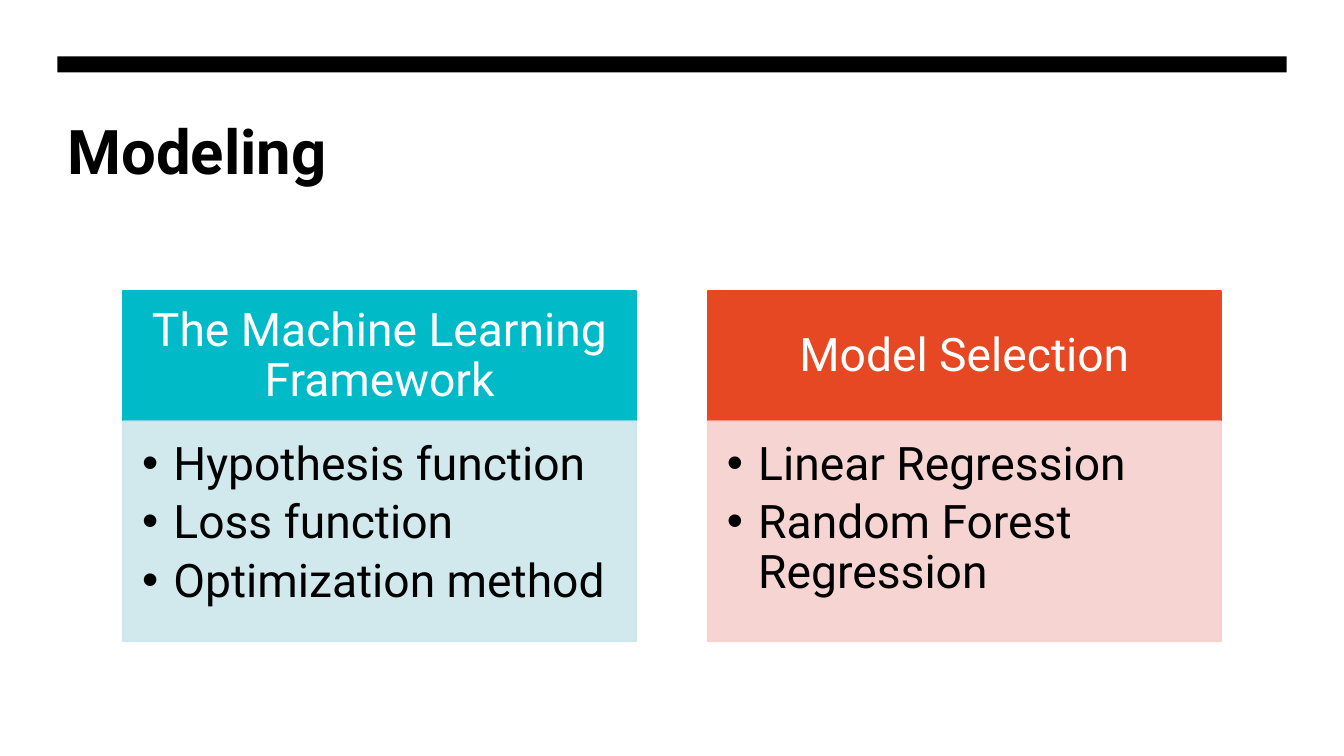
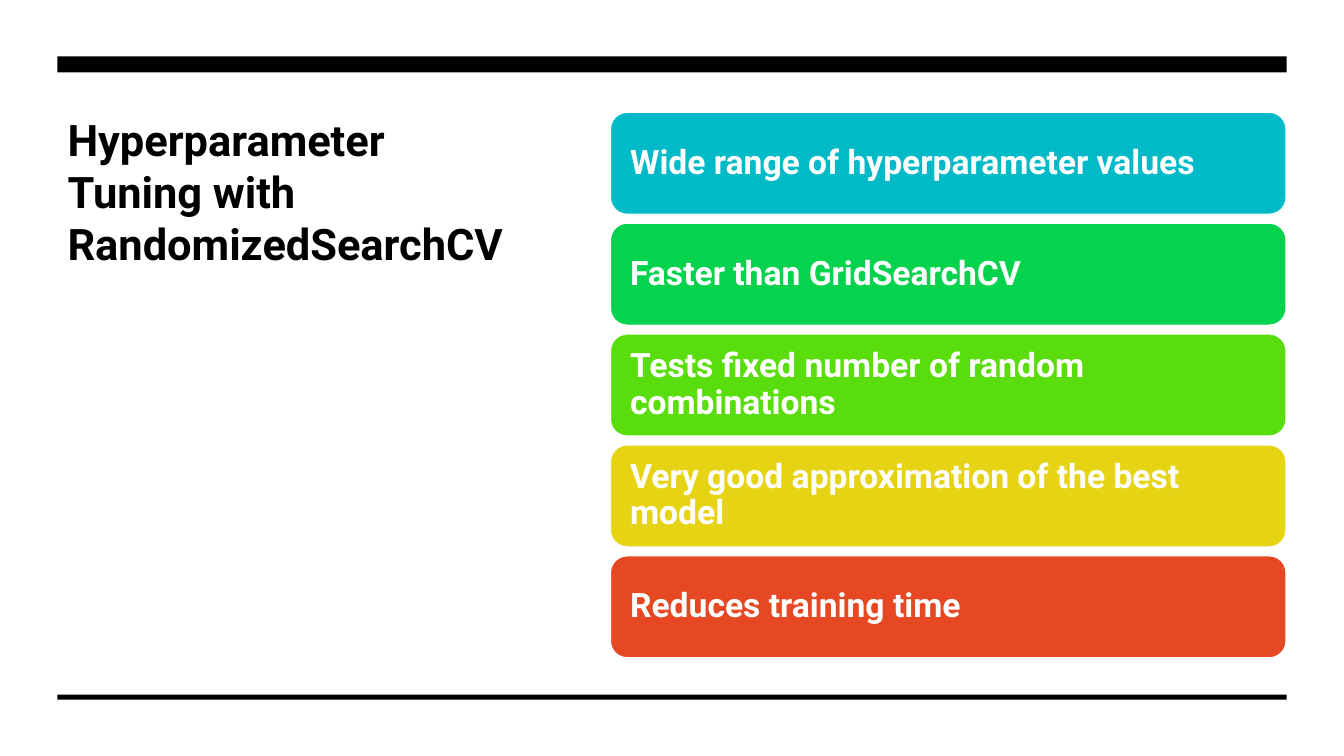
from dataclasses import dataclass

from lxml import etree
from pptx import Presentation
from pptx.dml.color import RGBColor
from pptx.enum.shapes import MSO_SHAPE
from pptx.enum.text import MSO_ANCHOR, MSO_AUTO_SIZE, PP_ALIGN
from pptx.oxml.ns import qn
from pptx.shapes.base import BaseShape
from pptx.slide import Slide
from pptx.text.text import TextFrame
from pptx.util import Inches, Pt

RECTANGLE, ROUNDED = MSO_SHAPE.RECTANGLE, MSO_SHAPE.ROUNDED_RECTANGLE
TOP, MIDDLE = MSO_ANCHOR.TOP, MSO_ANCHOR.MIDDLE
LEFT, CENTER = PP_ALIGN.LEFT, PP_ALIGN.CENTER
NO_AUTOFIT = MSO_AUTO_SIZE.NONE

BLACK = RGBColor(0x00, 0x00, 0x00)
WHITE = RGBColor(0xFF, 0xFF, 0xFF)
TEAL = RGBColor(0x00, 0xBA, 0xC8)
GREEN = RGBColor(0x06, 0xD3, 0x4D)
LIME = RGBColor(0x59, 0xDD, 0x0C)
YELLOW = RGBColor(0xE6, 0xD3, 0x13)
ORANGE = RGBColor(0xE6, 0x48, 0x23)
PALE_TEAL = RGBColor(0xCC, 0xE7, 0xEB)
PALE_ORANGE = RGBColor(0xF5, 0xD0, 0xCD)

# Shared measures, in inches
FONT = "Roboto"
SLIDE_WIDTH, SLIDE_HEIGHT = 13.33, 7.5
MARGIN = 0.57
CONTENT_WIDTH = SLIDE_WIDTH - 2 * MARGIN
TITLE_TOP = 1.07
TITLE_LAYOUT, COMPARISON_LAYOUT = 5, 4

# Grid of topic columns
COLUMN_LEFT, COLUMN_WIDTH, COLUMN_STEP = 1.22, 5.09, 5.8
HEADER_TOP, HEADER_HEIGHT, LIST_HEIGHT = 2.89, 1.29, 2.18
LIST_INDENT = 0.31

# Stack of cards
CARD_LEFT, CARD_TOP, CARD_HEIGHT, CARD_STEP = 6.05, 1.11, 1.02, 1.1
CARD_WIDTH = SLIDE_WIDTH - MARGIN - CARD_LEFT


@dataclass(frozen=True)
class Topic:
    header: str
    items: tuple[str, ...]
    color: RGBColor
    pale_color: RGBColor


@dataclass(frozen=True)
class Card:
    text: str
    color: RGBColor


@dataclass(frozen=True)
class TextStyle:
    size: float
    color: RGBColor
    bold: bool = False
    align: PP_ALIGN = LEFT
    anchor: MSO_ANCHOR = TOP
    insets: tuple[float, float, float, float] = (0.1, 0.05, 0.1, 0.05)
    line_spacing: float = 0.9
    space_after: float = 0
    bullet: bool = False


HEADER_STYLE = TextStyle(33, WHITE, align=CENTER, anchor=MIDDLE,
                         insets=(0.26, 0.15, 0.26, 0.15))
LIST_STYLE = TextStyle(33, BLACK, insets=(0.19, 0.19, 0.26, 0.29),
                       space_after=6, bullet=True)
CARD_STYLE = TextStyle(24, WHITE, bold=True, anchor=MIDDLE,
                       insets=(0.15, 0.15, 0.15, 0.15))

TOPICS = (
    Topic("The Machine Learning Framework",
          ("Hypothesis function", "Loss function", "Optimization method"),
          TEAL, PALE_TEAL),
    Topic("Model Selection",
          ("Linear Regression", "Random Forest Regression"),
          ORANGE, PALE_ORANGE),
)
CARDS = (
    Card("Wide range of hyperparameter values", TEAL),
    Card("Faster than GridSearchCV", GREEN),
    Card("Tests fixed number of random combinations", LIME),
    Card("Very good approximation of the best model", YELLOW),
    Card("Reduces training time", ORANGE),
)


def place(shape: BaseShape, left: float, top: float, width: float, height: float) -> None:
    shape.left, shape.top = Inches(left), Inches(top)
    shape.width, shape.height = Inches(width), Inches(height)


def paint(shape: BaseShape, fill: RGBColor, line: RGBColor, opacity: int = 100) -> None:
    shape.fill.solid()
    shape.fill.fore_color.rgb = fill
    shape.line.color.rgb = line
    shape.line.width = Pt(1.5)
    if opacity < 100:
        for color in shape._element.spPr.iter(qn("a:srgbClr")):
            etree.SubElement(color, qn("a:alpha"), val=str(opacity * 1000))


def write(frame: TextFrame, text: str, style: TextStyle) -> None:
    """Fill a frame, one paragraph per line of text."""
    frame.text = text
    frame.word_wrap = True
    frame.auto_size = NO_AUTOFIT
    frame.vertical_anchor = style.anchor
    (frame.margin_left, frame.margin_top,
     frame.margin_right, frame.margin_bottom) = map(Inches, style.insets)
    for paragraph in frame.paragraphs:
        if style.bullet:
            properties = paragraph._p.get_or_add_pPr()
            properties.set("marL", str(Inches(LIST_INDENT)))
            properties.set("indent", str(-Inches(LIST_INDENT)))
            etree.SubElement(properties, qn("a:buChar"), char="•")
        paragraph.alignment = style.align
        paragraph.line_spacing = style.line_spacing
        paragraph.space_before = Pt(0)
        paragraph.space_after = Pt(style.space_after)
        for run in paragraph.runs:
            run.font.name = FONT
            run.font.size = Pt(style.size)
            run.font.bold = style.bold
            run.font.color.rgb = style.color


def add_bar(slide: Slide, top: float, height: float) -> None:
    bar = slide.shapes.add_shape(RECTANGLE, Inches(MARGIN), Inches(top),
                                 Inches(CONTENT_WIDTH), Inches(height))
    bar.shadow.inherit = False
    bar.fill.solid()
    bar.fill.fore_color.rgb = BLACK
    bar.line.fill.background()


def add_titled_slide(presentation: Presentation, layout: int, title: str,
                     size: float, width: float, height: float) -> Slide:
    slide = presentation.slides.add_slide(presentation.slide_layouts[layout])
    place(slide.shapes.title, MARGIN, TITLE_TOP, width, height)
    write(slide.shapes.title.text_frame, title,
          TextStyle(size, BLACK, bold=True, line_spacing=1.0))
    add_bar(slide, top=0.56, height=0.16)
    return slide


def fill_topic(slide: Slide, column: int, topic: Topic) -> None:
    """Use the header and list placeholders of one comparison column."""
    left = COLUMN_LEFT + column * COLUMN_STEP
    header = slide.placeholders[1 + 2 * column]
    place(header, left, HEADER_TOP, COLUMN_WIDTH, HEADER_HEIGHT)
    paint(header, topic.color, topic.color)
    write(header.text_frame, topic.header, HEADER_STYLE)

    items = slide.placeholders[2 + 2 * column]
    place(items, left, HEADER_TOP + HEADER_HEIGHT, COLUMN_WIDTH, LIST_HEIGHT)
    paint(items, topic.pale_color, topic.pale_color, opacity=90)
    write(items.text_frame, "\n".join(topic.items), LIST_STYLE)


def add_card(slide: Slide, row: int, card: Card) -> None:
    shape = slide.shapes.add_shape(
        ROUNDED, Inches(CARD_LEFT), Inches(CARD_TOP + row * CARD_STEP),
        Inches(CARD_WIDTH), Inches(CARD_HEIGHT))
    shape.shadow.inherit = False
    paint(shape, card.color, WHITE)
    write(shape.text_frame, card.text, CARD_STYLE)


def main() -> None:
    presentation = Presentation()
    presentation.slide_width = Inches(SLIDE_WIDTH)
    presentation.slide_height = Inches(SLIDE_HEIGHT)

    # Modeling topics
    modeling = add_titled_slide(presentation, COMPARISON_LAYOUT, "Modeling",
                                size=44, width=CONTENT_WIDTH, height=1.6)
    for column, topic in enumerate(TOPICS):
        fill_topic(modeling, column, topic)

    # Hyperparameter tuning
    tuning = add_titled_slide(presentation, TITLE_LAYOUT,
                              "Hyperparameter Tuning with RandomizedSearchCV",
                              size=31, width=4.69, height=3.68)
    add_bar(tuning, top=6.89, height=0.05)
    for row, card in enumerate(CARDS):
        add_card(tuning, row, card)

    presentation.save("out.pptx")


if __name__ == "__main__":
    main()
